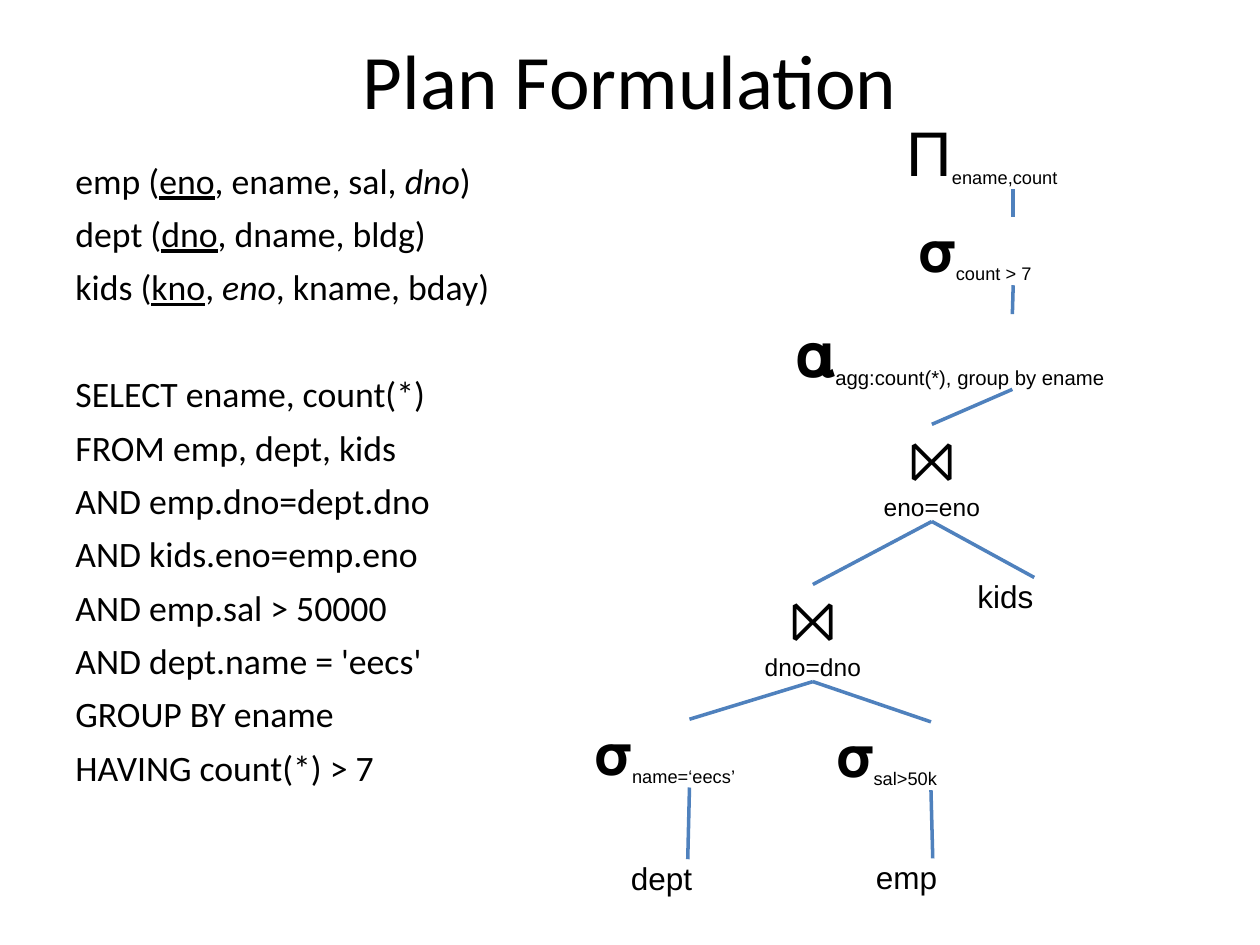
from lxml import etree
from pptx import Presentation
from pptx import util as u
from pptx.dml import color
from pptx.enum import shapes, text
from pptx.oxml import ns

COLORS = {"text": "000000", "edge": "4F81BD"}

SCHEMA = [
    [("emp (", ""), ("eno", "u"), (", ename, sal, ", ""), ("dno", "i"), (")", "")],
    [("dept (", ""), ("dno", "u"), (", dname, bldg)", "")],
    [("kids (", ""), ("kno", "u"), (", ", ""), ("eno", "i"), (", kname, bday)", "")],
]
QUERY = [
    "SELECT ename, count(*)",
    "FROM emp, dept, kids",
    "AND emp.dno=dept.dno",
    "AND kids.eno=emp.eno",
    "AND emp.sal > 50000",
    "AND dept.name = 'eecs'",
    "GROUP BY ename",
    "HAVING count(*) > 7",
]

OPERATORS = {
    "project": ((178, 0, 122, 43), ("Π", 36), ("ename,count", 18)),
    "having": ((185, 59, 108, 39), ("𝛔", 32), ("count > 7", 18)),
    "group": ((114.5, 114.5, 248, 43), ("𝛂", 36), ("agg:count(*), group by ename", 20)),
    "filter dept": ((0, 346, 108, 39), ("𝛔", 32), ("name=‘eecs’", 18)),
    "filter emp": ((138, 347.5, 108, 39), ("𝛔", 32), ("sal>50k", 18)),
}
JOINS = {
    "join kids": ((153, 177.5, 79, 55.5), "eno=eno"),
    "join dept": ((85, 269, 79, 55.5), "dno=dno"),
}
TABLES = {
    "dept": (20.5, 426, 65, 21.5),
    "emp": (160.5, 425.5, 65, 21.5),
    "kids": (218.5, 265, 65, 21.5),
}
EDGES = [
    ("project", "having"),
    ("having", "group"),
    ("group", "join kids"),
    ("join kids", "join dept"),
    ("join kids", "kids"),
    ("join dept", "filter dept"),
    ("join dept", "filter emp"),
    ("filter dept", "dept"),
    ("filter emp", "emp"),
]


def add_run(paragraph, words, size, font="Arial", style="", subscript=False):
    """Add one formatted run; style holds u for underline and i for italic."""
    run = paragraph.add_run()
    run.text = words
    run.font.name = font
    run.font.size = u.Pt(size)
    run.font.color.rgb = color.RGBColor.from_string(COLORS["text"])
    if "u" in style:
        run.font.underline = True
    if "i" in style:
        run.font.italic = True
    if subscript:
        run.font._element.set("baseline", "-25000")


def add_text_frame(slide, box, inset=True):
    """Add a wrapping text box and return its text frame."""
    frame = slide.shapes.add_textbox(*map(u.Pt, box)).text_frame
    frame.word_wrap = True
    if not inset:
        frame.margin_left = frame.margin_right = 0
        frame.margin_top = frame.margin_bottom = 0
    return frame


def add_title(slide, box, words):
    """Place and format the title placeholder."""
    title = slide.shapes.title
    title.left, title.top, title.width, title.height = map(u.Pt, box)
    title.text_frame.vertical_anchor = text.MSO_ANCHOR.MIDDLE
    paragraph = title.text_frame.paragraphs[0]
    paragraph.alignment = text.PP_ALIGN.CENTER
    add_run(paragraph, words, 44, "Calibri")


def add_query(slide, box):
    """Write the schema and, after a gap, the query."""
    frame = add_text_frame(slide, box)
    lines = SCHEMA + [[(line, "")] for line in QUERY]
    for index, line in enumerate(lines):
        paragraph = frame.add_paragraph() if index else frame.paragraphs[0]
        if index:
            paragraph.space_before = u.Pt(36.5 if index == len(SCHEMA) else 6)
        for words, style in line:
            add_run(paragraph, words, 20.4, "Calibri", style)


def add_edge(slide, parent, child):
    """Join the bottom centre of the parent box to the top centre of the child box."""
    left, top, width, height = parent
    edge = slide.shapes.add_connector(
        shapes.MSO_CONNECTOR.STRAIGHT,
        u.Pt(left + width / 2), u.Pt(top + height),
        u.Pt(child[0] + child[2] / 2), u.Pt(child[1]),
    )
    edge.line.color.rgb = color.RGBColor.from_string(COLORS["edge"])
    edge.line.width = u.Pt(2)
    etree.SubElement(edge._element.spPr, ns.qn("a:effectLst"))


def add_plan(slide, box):
    """Draw the operator tree inside the given box."""
    boxes = {}

    def add_node(name, node):
        """Place a node and return its text frame."""
        boxes[name] = (box[0] + node[0], box[1] + node[1], node[2], node[3])
        return add_text_frame(slide, boxes[name], inset=False)

    for name, (node, symbol, condition) in OPERATORS.items():
        paragraph = add_node(name, node).paragraphs[0]
        add_run(paragraph, *symbol)
        add_run(paragraph, *condition, subscript=True)
    for name, (node, condition) in JOINS.items():
        frame = add_node(name, node)
        add_run(frame.paragraphs[0], "⨝", 32)
        add_run(frame.add_paragraph(), condition, 14)
        for paragraph in frame.paragraphs:
            paragraph.alignment = text.PP_ALIGN.CENTER
    for name, node in TABLES.items():
        add_run(add_node(name, node).paragraphs[0], name, 18)
    for parent, child in EDGES:
        add_edge(slide, boxes[parent], boxes[child])


def main():
    """Build and save the presentation."""
    presentation = Presentation()
    presentation.slide_width, presentation.slide_height = u.Pt(720), u.Pt(540)
    slide = presentation.slides.add_slide(presentation.slide_layouts[5])
    add_title(slide, (36, 0, 648, 90), "Plan Formulation")
    add_query(slide, (36, 87, 311, 356))
    add_plan(slide, (340, 65, 362, 448))
    presentation.save("out.pptx")


if __name__ == "__main__":
    main()
